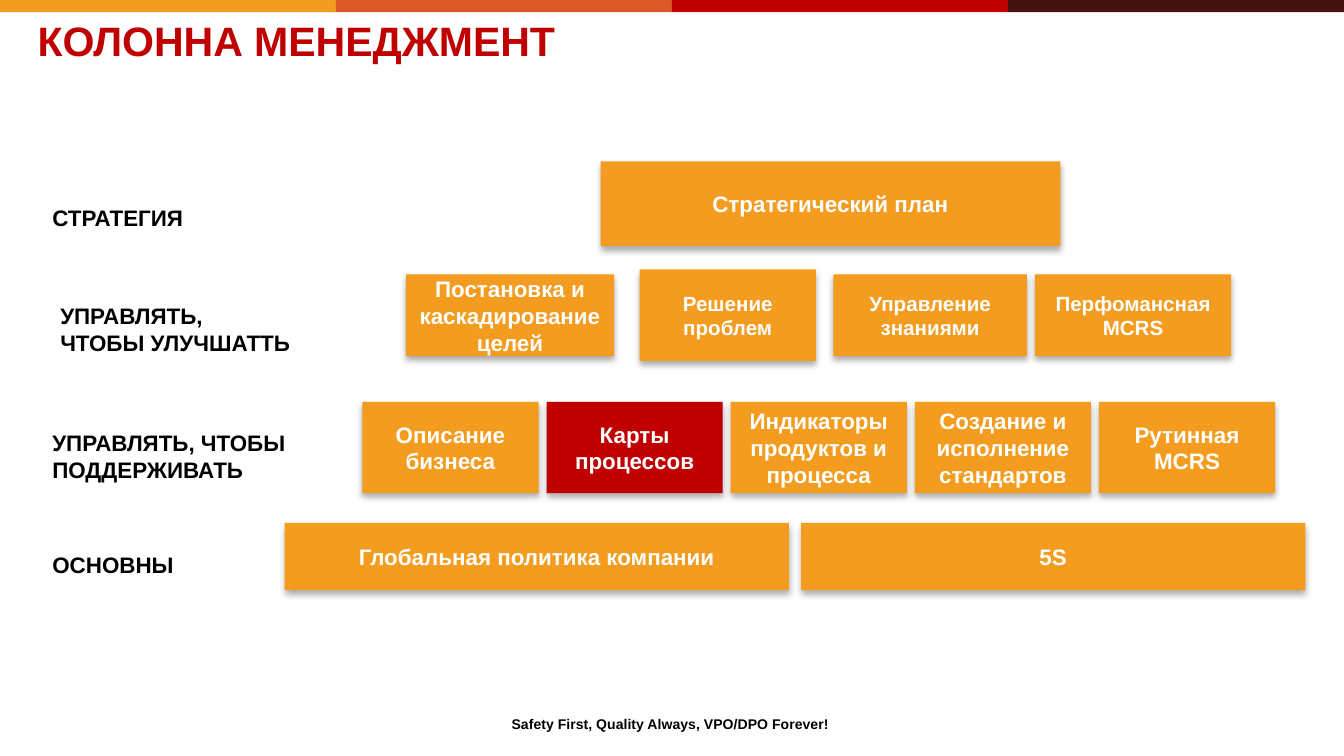
import pptx
import pptx.util
import pptx.dml.color
import pptx.enum.shapes
import pptx.enum.text
import pptx.oxml
import pptx.oxml.ns

Cm = pptx.util.Cm
Pt = pptx.util.Pt
ALIGN = pptx.enum.text.PP_ALIGN
RECT = pptx.enum.shapes.MSO_SHAPE.RECTANGLE

ORANGE, RED, WHITE, BLACK = "F39C1F", "C00000", "FFFFFF", "000000"
TITLE = "КОЛОННА МЕНЕДЖМЕНТ"
FOOTER = "Safety First, Quality Always, VPO/DPO Forever!"
STRIPES = [ORANGE, "DA5926", RED, "45120F"]
LABELS = [
    ("СТРАТЕГИЯ", 0.74, 3.73, 3.0, 0.76),
    ("УПРАВЛЯТЬ, ЧТОБЫ УЛУЧШАТТЬ", 0.89, 5.59, 4.88, 1.27),
    ("УПРАВЛЯТЬ, ЧТОБЫ ПОДДЕРЖИВАТЬ", 0.74, 7.98, 5.16, 1.27),
    ("ОСНОВНЫ", 0.74, 10.29, 2.9, 0.76),
]
STEPS = ["Описание бизнеса", "Карты процессов", "Индикаторы продуктов и процесса",
         "Создание и исполнение стандартов", "Рутинная MCRS"]
ACTIVE = "Карты процессов"
ROWS = [
    (3.85, [("Стратегический план", 11.35, 8.69, 1.6, 12)]),
    (5.96, [("Постановка и каскадирование целей", 7.67, 3.94, 1.55, 12),
            ("Решение проблем", 12.09, 3.33, 1.73, 11),
            ("Управление знаниями", 15.75, 3.66, 1.55, 11),
            ("Перфомансная MCRS", 19.56, 3.71, 1.55, 11)]),
    (8.46, [(text, 6.85 + i * 3.48, 3.33, 1.73, 12) for i, text in enumerate(STEPS)]),
    (10.52, [("Глобальная политика компании", 5.38, 9.53, 1.27, 12),
             ("5S", 15.14, 9.53, 1.27, 12)]),
]
SHADOW = (
    '<a:effectLst %s><a:outerShdw blurRad="%d" dist="%d" dir="5400000" rotWithShape="0">'
    '<a:srgbClr val="000000"><a:alpha val="32000"/></a:srgbClr></a:outerShdw></a:effectLst>'
    % (pptx.oxml.ns.nsdecls("a"), Pt(3.5), Pt(2.2))
)


def paint(hue):
    return pptx.dml.color.RGBColor.from_string(hue)


def write(shape, text, size, hue, align=ALIGN.LEFT, wrap=True):
    frame = shape.text_frame
    frame.text = text
    frame.word_wrap = wrap
    frame.auto_size = pptx.enum.text.MSO_AUTO_SIZE.NONE
    frame.vertical_anchor = pptx.enum.text.MSO_ANCHOR.MIDDLE
    para = frame.paragraphs[0]
    para.alignment = align
    font = para.runs[0].font
    font.name, font.size, font.bold = "Arial", Pt(size), True
    font.color.rgb = paint(hue)


def block(slide, left, top, width, height, hue):
    shape = slide.shapes.add_shape(RECT, Cm(left), Cm(top), Cm(width), Cm(height))
    shape.shadow.inherit = False
    shape.fill.solid()
    shape.fill.fore_color.rgb = paint(hue)
    shape.line.fill.background()
    return shape


def card(slide, mid, text, left, width, height, size):
    hue = RED if text == ACTIVE else ORANGE
    shape = block(slide, left, mid - height / 2, width, height, hue)
    props = shape.fill._xPr
    props.replace(props.find(pptx.oxml.ns.qn("a:effectLst")), pptx.oxml.parse_xml(SHADOW))
    write(shape, text, size, WHITE, ALIGN.CENTER)
    frame = shape.text_frame
    frame.margin_left = frame.margin_right = Cm(0.23)


def label(slide, text, left, top, width, height, size=12, wrap=True):
    box = slide.shapes.add_textbox(Cm(left), Cm(top), Cm(width), Cm(height))
    write(box, text, size, BLACK, wrap=wrap)


def main():
    """Build the management pillar slide."""
    deck = pptx.Presentation()
    deck.slide_width, deck.slide_height = Cm(25.4), Cm(14.29)
    slide = deck.slides.add_slide(deck.slide_layouts[5])

    for i, hue in enumerate(STRIPES):
        block(slide, i * 6.35, 0, 6.35, 0.23, hue)

    title = slide.shapes.title
    title.left, title.top, title.width, title.height = Cm(0.71), Cm(0.36), Cm(22.15), Cm(0.91)
    write(title, TITLE, 22, RED)
    frame = title.text_frame
    frame.margin_left = frame.margin_right = frame.margin_top = frame.margin_bottom = 0
    frame.paragraphs[0].line_spacing = 0.9

    for item in LABELS:
        label(slide, *item)
    for mid, cards in ROWS:
        for item in cards:
            card(slide, mid, *item)
    label(slide, FOOTER, 9.42, 13.39, 6.53, 0.58, 7.5, False)
    deck.save("out.pptx")


if __name__ == "__main__":
    main()
